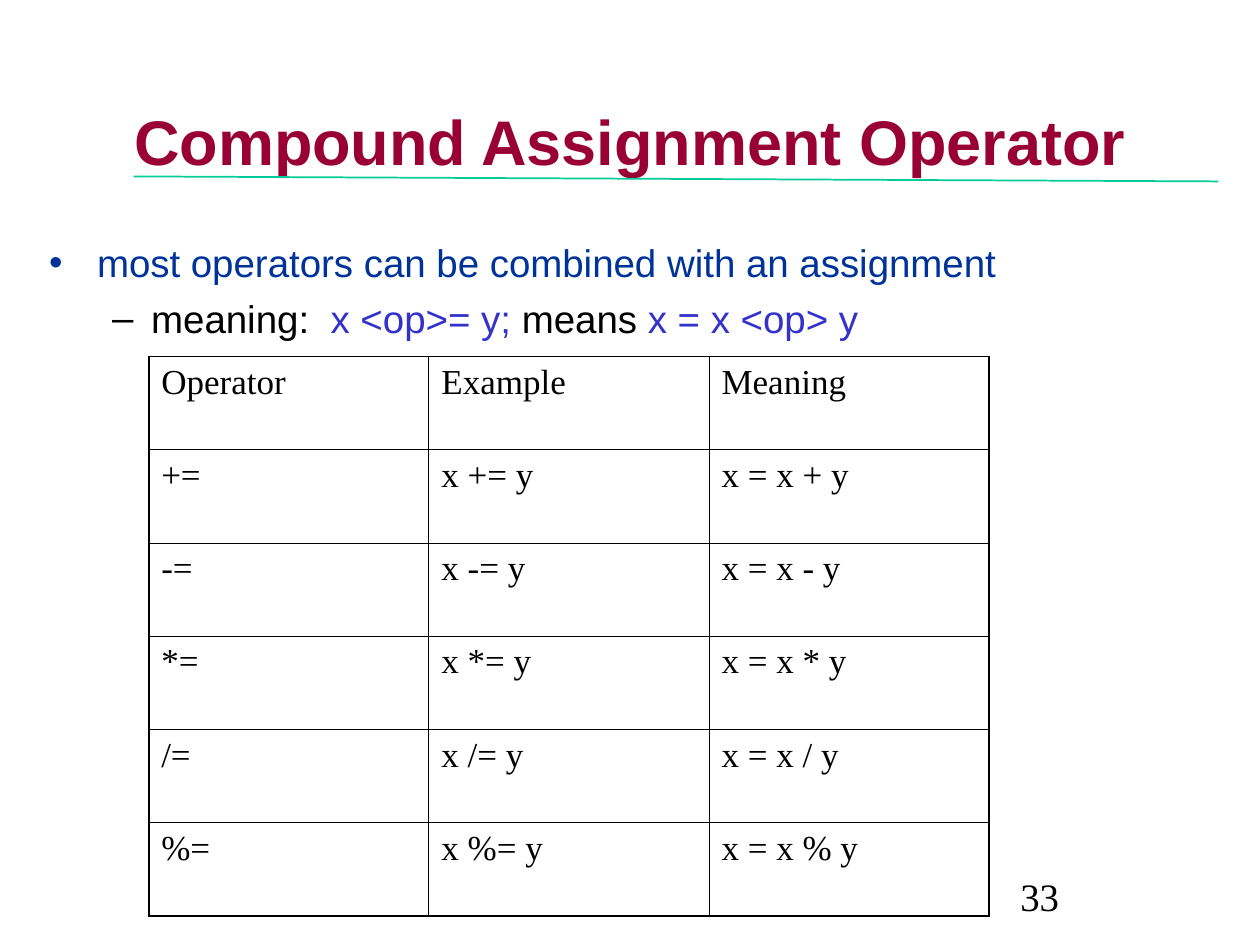
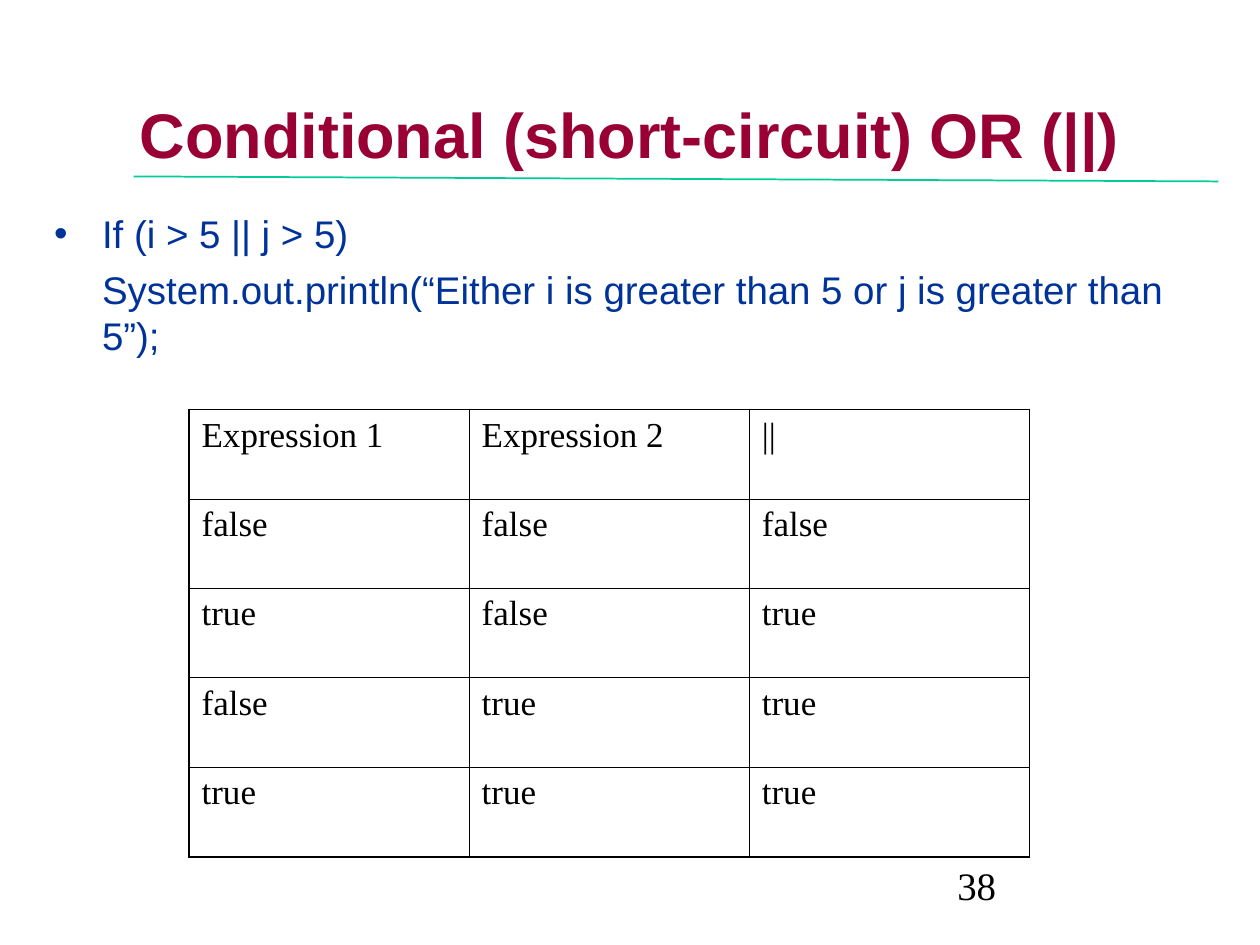
"""Build two slides on compound assignment and short-circuit OR."""
from dataclasses import dataclass

from lxml import etree
from pptx import Presentation
from pptx.dml.color import RGBColor
from pptx.enum.shapes import MSO_CONNECTOR
from pptx.enum.text import MSO_ANCHOR, MSO_AUTO_SIZE, PP_ALIGN
from pptx.oxml.ns import qn
from pptx.slide import Slide
from pptx.util import Inches, Pt

STRAIGHT = MSO_CONNECTOR.STRAIGHT
TOP = MSO_ANCHOR.TOP
NO_AUTOFIT = MSO_AUTO_SIZE.NONE
CENTER = PP_ALIGN.CENTER

COLORS = {
    "title": "990033",
    "rule": "00CC99",
    "point": "003399",
    "code": "3333CC",
    "text": "000000",
}
HEADING_FONT = "Arial"
TABLE_FONT = "Times New Roman"
OUTER_BORDER = Pt(1.08)
INNER_BORDER = Pt(0.45)
TABLE_WIDTH = 6.67


@dataclass(frozen=True)
class Box:
    left: float
    top: float
    width: float
    height: float

    def lengths(self) -> tuple:
        return tuple(Inches(v) for v in (self.left, self.top, self.width, self.height))


@dataclass(frozen=True)
class Point:
    phrases: tuple[tuple[str, str], ...]
    bullet: str = ""
    level: int = 0
    margin: float = 0.38
    hanging: float = 0.38


@dataclass(frozen=True)
class Grid:
    box: Box
    rows: tuple[tuple[str, ...], ...]
    thin_top_column: int


@dataclass(frozen=True)
class Page:
    title: str
    title_box: Box
    points: tuple[Point, ...]
    points_box: Box
    grid: Grid
    number: str
    number_box: Box


OPERATORS = "+-*/%"

PAGES = (
    Page(
        title="Compound Assignment Operator",
        title_box=Box(0.5, 0.71, 9, 0.68),
        points=(
            Point((("most operators can be combined with an assignment", "point"),), "•"),
            Point(
                (
                    ("meaning:  ", "text"),
                    ("x <op>= y;", "code"),
                    (" means ", "text"),
                    ("x = x <op> y", "code"),
                ),
                "–", level=1, margin=0.81, hanging=0.31,
            ),
        ),
        points_box=Box(0.29, 1.81, 9.16, 0.98),
        grid=Grid(
            Box(1.18, 2.83, TABLE_WIDTH, 4.44),
            (
                ("Operator", "Example", "Meaning"),
                *((f"{op}=", f"x {op}= y", f"x = x {op} y") for op in OPERATORS),
            ),
            thin_top_column=0,
        ),
        number="33",
        number_box=Box(8, 6.92, 1.83, 0.5),
    ),
    Page(
        title="Conditional (short-circuit) OR (||)",
        title_box=Box(0.5, 0.66, 9, 0.65),
        points=(
            Point((("If (i > 5 || j > 5)", "point"),), "•"),
            Point(
                (("System.out.println(“Either i is greater than 5 "
                  "or j is greater than 5”);", "point"),),
                hanging=0,
            ),
        ),
        points_box=Box(0.33, 1.58, 9.33, 5.08),
        grid=Grid(
            Box(1.5, 3.25, TABLE_WIDTH, 3.55),
            (
                ("Expression 1", "Expression 2", "||"),
                ("false", "false", "false"),
                ("true", "false", "true"),
                ("false", "true", "true"),
                ("true", "true", "true"),
            ),
            thin_top_column=1,
        ),
        number="38",
        number_box=Box(7.5, 6.83, 2.17, 0.5),
    ),
)


def style_font(font, name: str, size: float, color: str, bold: bool = False) -> None:
    font.name = name
    font.size = Pt(size)
    font.bold = bold
    font.color.rgb = RGBColor.from_string(COLORS[color])


def place(placeholder, box: Box, top_inset: float):
    """Move a placeholder and return its text frame, anchored at the top."""
    placeholder.left, placeholder.top, placeholder.width, placeholder.height = box.lengths()
    frame = placeholder.text_frame
    frame.auto_size = NO_AUTOFIT
    frame.vertical_anchor = TOP
    frame.word_wrap = True
    frame.margin_top = Inches(top_inset)
    return frame


def add_title(slide: Slide, page: Page) -> None:
    frame = place(slide.shapes.title, page.title_box, 0.1)
    frame.text = page.title
    heading = frame.paragraphs[0]
    heading.alignment = CENTER
    style_font(heading.runs[0].font, HEADING_FONT, 36, "title", bold=True)


def set_bullet(paragraph, point: Point) -> None:
    properties = paragraph._p.get_or_add_pPr()
    properties.set("marL", str(Inches(point.margin)))
    properties.set("indent", str(-Inches(point.hanging)))
    if not point.bullet:
        etree.SubElement(properties, qn("a:buNone"))
        return
    bullet_color = etree.SubElement(properties, qn("a:buClr"))
    first_color = point.phrases[0][1]
    etree.SubElement(bullet_color, qn("a:srgbClr"), val=COLORS[first_color])
    etree.SubElement(properties, qn("a:buChar"), char=point.bullet)


def add_points(slide: Slide, page: Page) -> None:
    frame = place(slide.placeholders[1], page.points_box, 0.09)
    for index, point in enumerate(page.points):
        paragraph = frame.add_paragraph() if index else frame.paragraphs[0]
        paragraph.level = point.level
        set_bullet(paragraph, point)
        paragraph.space_before = Pt(5.5 if index else 0)
        for text, color in point.phrases:
            run = paragraph.add_run()
            run.text = text
            style_font(run.font, HEADING_FONT, 22, color)


def set_borders(cell, widths: dict[str, int]) -> None:
    properties = cell._tc.get_or_add_tcPr()
    for side, width in widths.items():
        line = etree.SubElement(properties, qn(f"a:ln{side}"), w=str(width))
        fill = etree.SubElement(line, qn("a:solidFill"))
        etree.SubElement(fill, qn("a:srgbClr"), val=COLORS["text"])


def add_grid(slide: Slide, grid: Grid) -> None:
    row_count, column_count = len(grid.rows), len(grid.rows[0])
    table = slide.shapes.add_table(row_count, column_count, *grid.box.lengths()).table
    table.first_row = table.horz_banding = False
    for row, values in enumerate(grid.rows):
        for column, value in enumerate(values):
            cell = table.cell(row, column)
            outer_sides = {
                "L": column == 0,
                "R": column == column_count - 1,
                "T": row == 0 and column != grid.thin_top_column,
                "B": row == row_count - 1,
            }
            set_borders(cell, {side: OUTER_BORDER if outer else INNER_BORDER
                               for side, outer in outer_sides.items()})
            cell.fill.background()
            cell.text_frame.text = value
            style_font(cell.text_frame.paragraphs[0].runs[0].font, TABLE_FONT, 20, "text")


def add_title_rule(slide: Slide) -> None:
    rule = slide.shapes.add_connector(
        STRAIGHT, Inches(1.06), Inches(1.4), Inches(9.67), Inches(1.44))
    rule.line.color.rgb = RGBColor.from_string(COLORS["rule"])
    rule.line.width = Pt(1)
    etree.SubElement(rule._element.spPr, qn("a:effectLst"))


def add_page_number(slide: Slide, page: Page) -> None:
    frame = slide.shapes.add_textbox(*page.number_box.lengths()).text_frame
    frame.word_wrap = True
    frame.text = page.number
    number = frame.paragraphs[0]
    number.line_spacing = 0.9
    style_font(number.runs[0].font, TABLE_FONT, 22.2, "text")


def main() -> None:
    presentation = Presentation()
    presentation.slide_width = Inches(10)
    presentation.slide_height = Inches(7.5)
    for page in PAGES:
        slide = presentation.slides.add_slide(presentation.slide_layouts[1])
        add_title(slide, page)
        add_points(slide, page)
        add_grid(slide, page.grid)
        add_title_rule(slide)
        add_page_number(slide, page)
    presentation.save("out.pptx")


if __name__ == "__main__":
    main()
